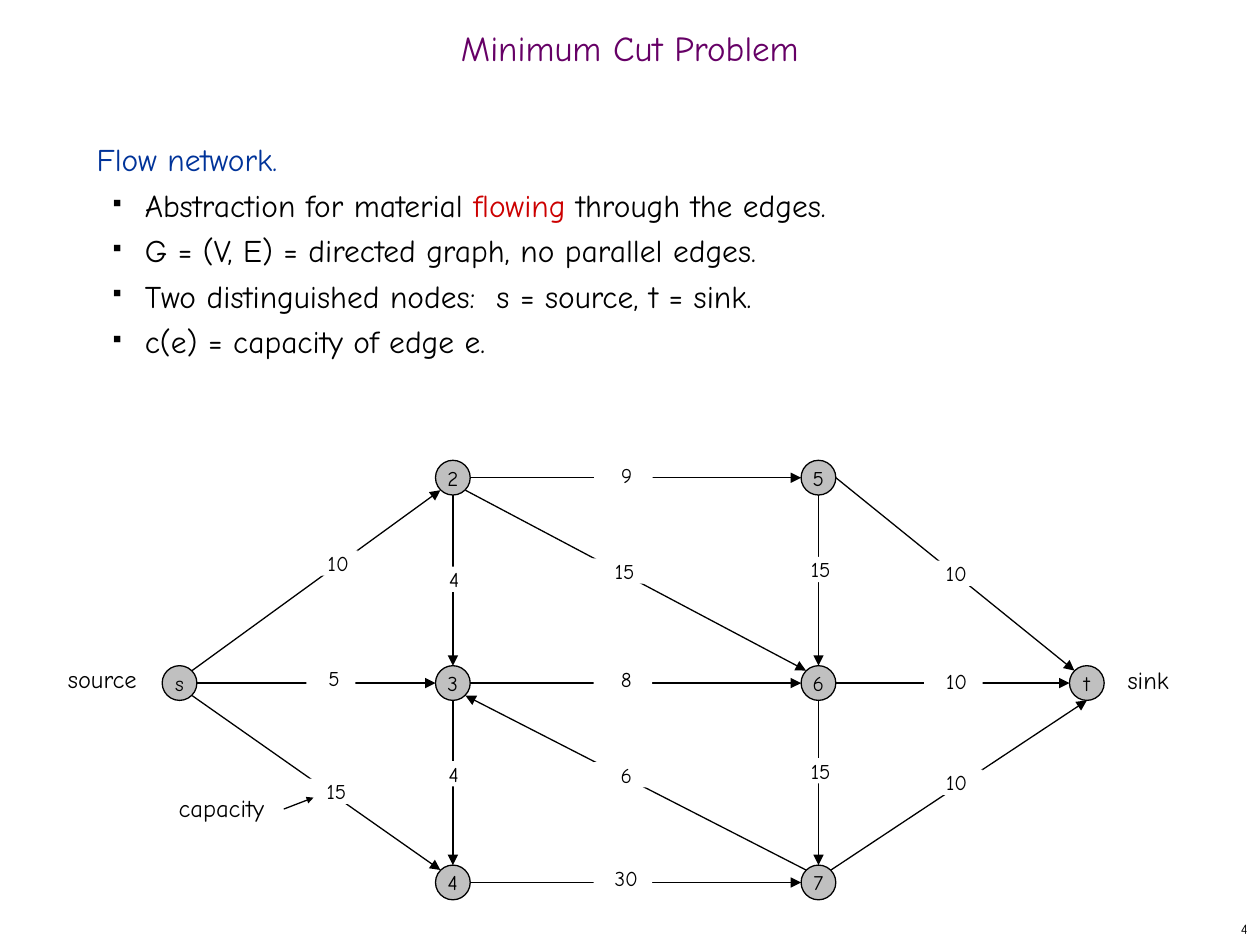
from lxml import etree
from pptx import Presentation
from pptx.dml.color import RGBColor
from pptx.enum.shapes import MSO_CONNECTOR, MSO_SHAPE
from pptx.enum.text import MSO_ANCHOR, PP_ALIGN
from pptx.oxml.ns import qn
from pptx.util import Cm, Pt

OVAL, RECT = MSO_SHAPE.OVAL, MSO_SHAPE.RECTANGLE
STRAIGHT = MSO_CONNECTOR.STRAIGHT
LEFT, CENTER, RIGHT = PP_ALIGN.LEFT, PP_ALIGN.CENTER, PP_ALIGN.RIGHT
TOP, MIDDLE = MSO_ANCHOR.TOP, MSO_ANCHOR.MIDDLE

BLACK, WHITE, GRAY = "000000", "FFFFFF", "C0C0C0"
PURPLE, BLUE, RED = "660066", "003399", "CC0000"

RADIUS = 0.35
COLS = [3.62, 9.13, 16.5, 21.91]
ROWS = [9.63, 13.77, 17.79]
NODES = {
    "s": (COLS[0], ROWS[1]), "t": (COLS[3], ROWS[1]),
    "2": (COLS[1], ROWS[0]), "3": (COLS[1], ROWS[1]), "4": (COLS[1], ROWS[2]),
    "5": (COLS[2], ROWS[0]), "6": (COLS[2], ROWS[1]), "7": (COLS[2], ROWS[2]),
}
DIAGONAL = 0.72
SIDES = {
    "N": (0, -1), "S": (0, 1), "W": (-1, 0), "E": (1, 0),
    "NW": (-DIAGONAL, -DIAGONAL), "NE": (DIAGONAL, -DIAGONAL),
    "SW": (-DIAGONAL, DIAGONAL), "SE": (DIAGONAL, DIAGONAL),
}
# from node, side, to node, side, capacity, label centre, left inset of the label
EDGES = [
    ("s", "NE", "2", "SW", "10", 6.62, 11.35, 0.4),
    ("s", "E", "3", "W", "5", 6.67, 13.67, 0.13),
    ("s", "SE", "4", "NW", "15", 6.72, 15.95, 0.13),
    ("2", "S", "3", "N", "4", 9.09, 11.68, 0.13),
    ("3", "S", "4", "N", "4", 9.08, 15.6, 0.13),
    ("2", "E", "5", "W", "9", 12.57, 9.58, 0.13),
    ("2", "SE", "6", "NW", "15", 12.53, 11.51, 0.13),
    ("3", "E", "6", "W", "8", 12.56, 13.69, 0.13),
    ("7", "NW", "3", "SE", "6", 12.56, 15.62, 0.13),
    ("4", "E", "7", "W", "30", 12.56, 17.7, 0.13),
    ("5", "S", "6", "N", "15", 16.48, 11.48, 0.13),
    ("6", "S", "7", "N", "15", 16.48, 15.54, 0.13),
    ("5", "E", "t", "NW", "10", 19.08, 11.56, 0.4),
    ("6", "E", "t", "W", "10", 19.22, 13.74, 0.13),
    ("7", "NE", "t", "S", "10", 19.22, 15.77, 0.13),
]
BULLETS = [
    [("Abstraction for material ", BLACK), ("flowing", RED),
     (" through the edges.", BLACK)],
    [("G = (V, E) = directed graph, no parallel edges.", BLACK)],
    [("Two distinguished nodes:  s = source, t = sink.", BLACK)],
    [("c(e) = capacity of edge e.", BLACK)],
]


def rgb(value):
    return RGBColor.from_string(value)


def port(node, side):
    """Point where an edge meets the rim of a node."""
    x, y = NODES[node]
    dx, dy = SIDES[side]
    return x + dx * RADIUS, y + dy * RADIUS


class Deck:
    font = "Comic Neue"
    line_width = Pt(0.75)

    def __init__(self, prs):
        self.s = prs.slides.add_slide(prs.slide_layouts[5])

    def frame(self, tf, insets=(0.25, 0.13, 0.25, 0.13), anchor=TOP, wrap=True):
        left, top, right, bottom = map(Cm, insets)
        values = dict(margin_left=left, margin_top=top, margin_right=right,
                      margin_bottom=bottom, vertical_anchor=anchor, word_wrap=wrap)
        for name, value in values.items():
            setattr(tf, name, value)

    def add_runs(self, p, runs, size, align=LEFT, spacing=None):
        p.alignment, p.line_spacing = align, spacing
        for text, color in runs:
            r = p.add_run()
            r.text = text
            for name, value in dict(name=self.font, size=Pt(size), bold=False).items():
                setattr(r.font, name, value)
            r.font.color.rgb = rgb(color)

    def title(self, text):
        sp = self.s.shapes.title
        box = dict(left=Cm(0), top=Cm(0.43), width=Cm(25.4), height=Cm(1.27))
        for name, value in box.items():
            setattr(sp, name, value)
        self.frame(sp.text_frame, anchor=MIDDLE)
        self.add_runs(sp.text_frame.paragraphs[0], [(text, PURPLE)], 20, CENTER, 0.7)

    def text(self, text, x, y, w, h, size, align=LEFT, anchor=TOP, wrap=False):
        tf = self.s.shapes.add_textbox(Cm(x), Cm(y), Cm(w), Cm(h)).text_frame
        self.frame(tf, anchor=anchor, wrap=wrap)
        self.add_runs(tf.paragraphs[0], [(text, BLACK)], size, align)

    def bullet(self, p):
        pPr = p._p.get_or_add_pPr()
        pPr.set("marL", str(Cm(0.97)))
        pPr.set("indent", str(-Cm(0.64)))
        color = etree.SubElement(pPr, qn("a:buClr"))
        etree.SubElement(color, qn("a:srgbClr"), val=BLACK)
        etree.SubElement(pPr, qn("a:buSzPct"), val="35000")
        etree.SubElement(pPr, qn("a:buChar"), char="■")

    def body(self, heading, bullets, x, y, w, h):
        tf = self.s.shapes.add_textbox(Cm(x), Cm(y), Cm(w), Cm(h)).text_frame
        self.frame(tf)
        self.add_runs(tf.paragraphs[0], [(heading, BLUE)], 18, spacing=Pt(26))
        for runs in bullets:
            p = tf.add_paragraph()
            self.bullet(p)
            self.add_runs(p, runs, 18, spacing=Pt(26))

    def shape(self, kind, cx, cy, w, h, fill):
        """Plain shape placed by its centre."""
        sp = self.s.shapes.add_shape(
            kind, Cm(cx - w / 2), Cm(cy - h / 2), Cm(w), Cm(h))
        sp.shadow.inherit = False
        sp.fill.solid()
        sp.fill.fore_color.rgb = rgb(fill)
        return sp

    def node(self, name, cx, cy):
        sp = self.shape(OVAL, cx, cy, 2 * RADIUS, 2 * RADIUS, GRAY)
        sp.line.color.rgb = rgb(BLACK)
        sp.line.width = self.line_width
        self.frame(sp.text_frame, anchor=MIDDLE, wrap=False)
        self.add_runs(sp.text_frame.paragraphs[0], [(name, BLACK)], 12, CENTER)

    def label(self, text, cx, cy, inset):
        width = 0.99 if text == "5" else 1.18
        sp = self.shape(RECT, cx, cy, width, 0.51, WHITE)
        sp.line.fill.background()
        self.frame(sp.text_frame, (inset, 0, 0, 0))
        self.add_runs(sp.text_frame.paragraphs[0], [(text, BLACK)], 12, CENTER)

    def arrow(self, start, end, head="med"):
        c = self.s.shapes.add_connector(STRAIGHT, *map(Cm, start + end))
        c.line.color.rgb = rgb(BLACK)
        c.line.width = self.line_width
        spPr = c._element.spPr
        etree.SubElement(spPr.find(qn("a:ln")), qn("a:tailEnd"),
                         type="triangle", w=head, len=head)
        etree.SubElement(spPr, qn("a:effectLst"))


def main():
    prs = Presentation()
    prs.slide_width, prs.slide_height = Cm(25.4), Cm(19.05)
    deck = Deck(prs)
    deck.title("Minimum Cut Problem")
    deck.body("Flow network.", BULLETS, 1.7, 2.54, 21.8, 5.5)

    for name, (cx, cy) in NODES.items():
        deck.node(name, cx, cy)
    for start, side, end, end_side, *_ in EDGES:
        deck.arrow(port(start, side), port(end, end_side))
    for *_, capacity, cx, cy, inset in EDGES:
        deck.label(capacity, cx, cy, inset)

    deck.text("source", 1.12, 13.26, 1.9, 0.84, 14)
    deck.text("sink", 22.48, 13.28, 1.35, 0.84, 14)
    deck.text("capacity", 3.35, 15.85, 2.24, 0.84, 14)
    deck.arrow((5.72, 16.31), (6.32, 16.08), "sm")
    deck.text("4", 20.12, 18.42, 5.28, 0.63, 8, RIGHT, MIDDLE, True)
    prs.save("out.pptx")


if __name__ == "__main__":
    main()
